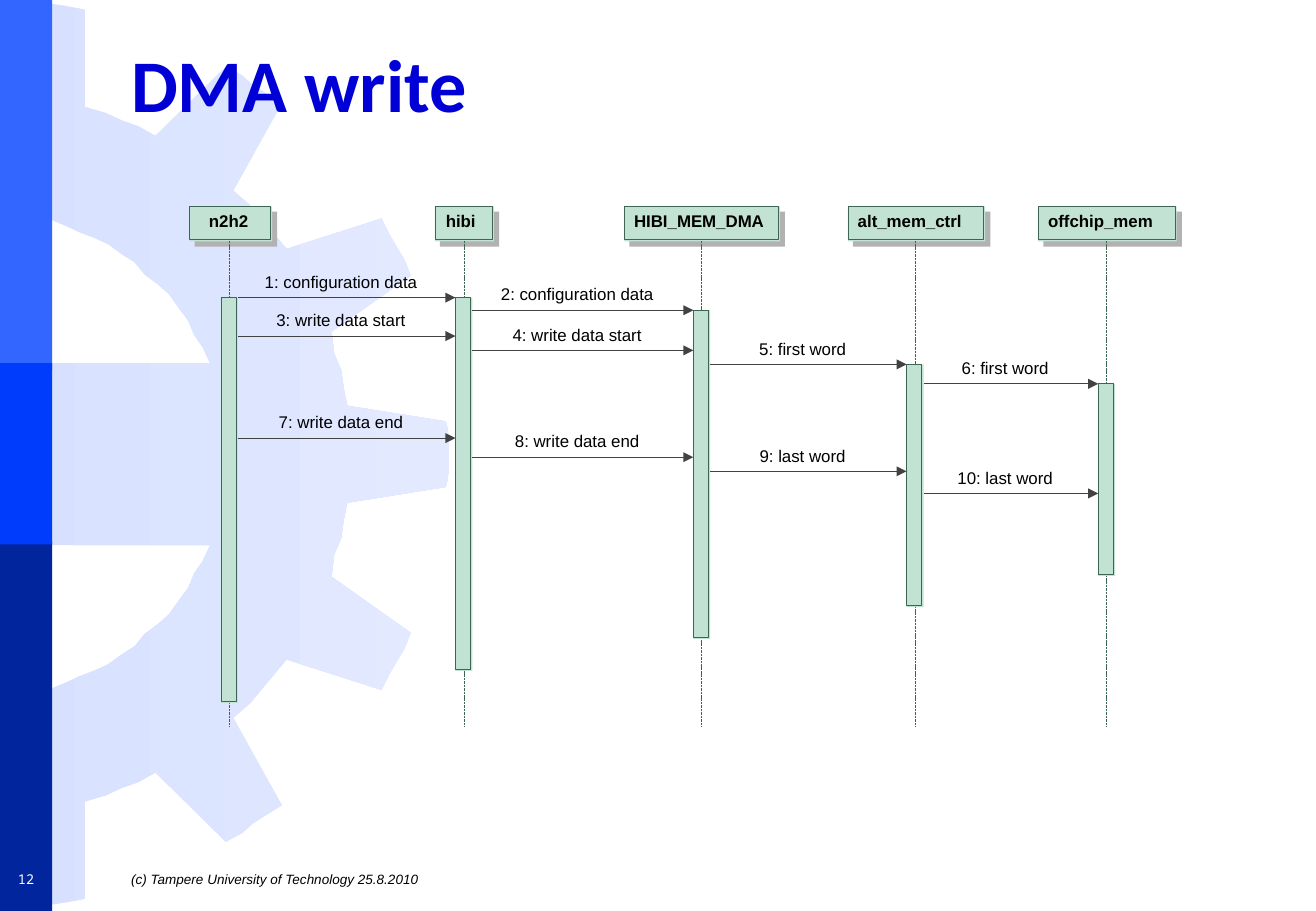
from lxml.etree import SubElement
from pptx import Presentation
from pptx.dml.color import RGBColor
from pptx.enum.dml import MSO_LINE
from pptx.enum.shapes import MSO_CONNECTOR, MSO_SHAPE
from pptx.enum.text import MSO_ANCHOR as ANCHOR, PP_ALIGN as ALIGN
from pptx.oxml.ns import qn
from pptx.util import Pt

PALE, EDGE, SHADE, INK = "C2E3D3", "3D6652", "B2B2B2", "424242"
HEAD_TOP, HEAD_HEIGHT, LIFE_TOP, LIFE_END = 122.4, 20.8, 142.6, 430.6
BAR_WIDTH = 10.1

# name, head left, head width, name indent, line x, bar top, bar height
LANES = [
    ("n2h2", 112.3, 49, 11.5, 136, 176.4, 240.5),
    ("hibi", 257.8, 35, 6.4, 275, 176.4, 221.3),
    ("HIBI_MEM_DMA", 370, 92.2, 5.8, 416, 183.8, 195),
    ("alt_mem_ctrl", 502.6, 81.4, 5.8, 542.4, 216, 144),
    ("offchip_mem", 615.4, 82.1, 5.8, 656, 227.5, 113.8),
]
# text, sending lane, height on the page
MESSAGES = [
    ("configuration data", 0, 176.4), ("configuration data", 1, 183.9),
    ("write data start", 0, 199.2), ("write data start", 1, 207.7),
    ("first word", 2, 216), ("first word", 3, 227.5),
    ("write data end", 0, 259.7), ("write data end", 1, 271),
    ("last word", 2, 279.4), ("last word", 3, 292.5),
]
GEAR_HEIGHT = 538.5
GEAR_UPPER_HALF = [
    (266.4, 268.6), (266.4, 258.5), (264.2, 249.8), (205.9, 240.5), (203.8, 230.4),
    (202.3, 219.6), (198, 209.5), (196.6, 196.6), (243.4, 163.4), (239.8, 154.1),
    (235.4, 146.9), (230.4, 138.2), (226.1, 129.6), (169.9, 147.6), (162, 138.2),
    (154.8, 129.6), (148.3, 121.7), (138.2, 113), (167, 61.2), (157.7, 55.4),
    (149.8, 50.4), (143.3, 44.6), (133.9, 39.6), (92.2, 80.6), (82.1, 74.9),
    (72, 71.3), (62.6, 67), (50.4, 63.4), (50.4, 5.8), (39.6, 3.6),
    (30.2, 2.2), (20.9, 0.7), (10.1, 0), (10.1, 126.7), (20.2, 129.6),
    (30.2, 130.3), (38.9, 133.9), (46.8, 137.5), (56.2, 141.1), (64.1, 144.7),
    (72, 150.5), (79.9, 155.5), (85.7, 162.7), (93.6, 168.5), (100.1, 174.2),
    (105.8, 182.2), (111.6, 190.1), (115.2, 198.7), (120.2, 205.9), (124.6, 215.3),
    (0, 215.3),
]


def color(value):
    return RGBColor.from_string(value)


def write(shape, text, size=10, font="Arial", ink="000000", bold=False, italic=False,
          align=ALIGN.LEFT, anchor=ANCHOR.TOP, insets=(0, 0), wrap=False):
    frame = shape.text_frame
    frame.word_wrap = wrap
    frame.vertical_anchor = anchor
    frame.margin_left = frame.margin_right = Pt(insets[0])
    frame.margin_top = frame.margin_bottom = Pt(insets[1])
    para = frame.paragraphs[0]
    para.alignment = align
    span = para.add_run()
    span.text = text
    span.font.size = Pt(size)
    span.font.name = font
    span.font.bold = bold
    span.font.italic = italic
    span.font.color.rgb = color(ink)


def add_text(page, text, left, top, width, height, **form):
    box = page.shapes.add_textbox(Pt(left), Pt(top), Pt(width), Pt(height))
    write(box, text, **form)


def add_box(page, left, top, width, height, fill=None, line=None):
    box = page.shapes.add_shape(MSO_SHAPE.RECTANGLE, Pt(left), Pt(top), Pt(width), Pt(height))
    box.shadow.inherit = False
    if fill:
        box.fill.solid()
        box.fill.fore_color.rgb = color(fill)
    else:
        box.fill.background()
    if line:
        box.line.color.rgb = color(line)
        box.line.width = Pt(0.5)
    else:
        box.line.fill.background()
    return box


def add_panel(page, left, top, width, height):
    add_box(page, left, top, width, height, fill=PALE)
    return add_box(page, left, top, width - 1, height - 1, line=EDGE)


def add_line(page, start, end, ink, dash=None, arrow=False):
    line = page.shapes.add_connector(MSO_CONNECTOR.STRAIGHT, *map(Pt, start + end))
    line.line.color.rgb = color(ink)
    line.line.width = Pt(0.5)
    if dash:
        line.line.dash_style = dash
    if arrow:
        SubElement(line.line._get_or_add_ln(), qn("a:tailEnd"), type="triangle", w="med", len="med")
    SubElement(line._element.spPr, qn("a:effectLst"))


def add_gear(page):
    lower = [(x, GEAR_HEIGHT - y) for x, y in reversed(GEAR_UPPER_HALF)]
    first, *rest = [(Pt(x), Pt(y)) for x, y in GEAR_UPPER_HALF + lower]
    builder = page.shapes.build_freeform(*first)
    builder.add_line_segments(rest, close=True)
    gear = builder.convert_to_shape()
    gear.shadow.inherit = False
    gear.line.fill.background()
    gear.fill.gradient()
    gear.fill.gradient_angle = 0
    for stop, value in zip(gear.fill.gradient_stops, ("D7E1FF", "E3EAFF")):
        stop.color.rgb = color(value)


def add_lane(page, name, left, width, indent, x, bar_top, bar_height):
    add_box(page, left + 3, HEAD_TOP + 3, width, HEAD_HEIGHT, fill=SHADE)
    head = add_panel(page, left, HEAD_TOP, width, HEAD_HEIGHT)
    write(head, name, bold=True, insets=(indent, 2.2))
    add_line(page, (x, LIFE_TOP), (x, LIFE_END), EDGE, dash=MSO_LINE.SQUARE_DOT)
    add_panel(page, x - BAR_WIDTH / 2, bar_top, BAR_WIDTH, bar_height)


def add_message(page, number, text, sender, y):
    start, end = (LANES[lane][4] for lane in (sender, sender + 1))
    add_line(page, (start + BAR_WIDTH / 2, y), (end - BAR_WIDTH / 2, y), INK, arrow=True)
    middle = (start + end) / 2 - 3.5
    add_text(page, f"{number}: {text}", middle - 55, y - 15.5, 110, 14, align=ALIGN.CENTER)


def main():
    deck = Presentation()
    deck.slide_width, deck.slide_height = Pt(780), Pt(540)
    page = deck.slides.add_slide(deck.slide_layouts[6])

    add_gear(page)
    for top, height, fill in ((0, 219.6, "3366FF"), (321, 219, "00259C"), (215.3, 107.5, "003CFC")):
        add_box(page, 0, top, 31, height, fill=fill)

    inner = dict(anchor=ANCHOR.MIDDLE, insets=(7.2, 3.6))
    add_text(page, "DMA write", 70.6, 15, 676, 67.7, size=44, font="Calibri",
             ink="0000D6", bold=True, wrap=True, **inner)
    add_text(page, "(c) Tampere University of Technology 25.8.2010", 70.6, 512, 676, 18.7,
             size=8, italic=True, wrap=True, **inner)
    add_text(page, "12", 0, 512, 31, 18.7, size=8, font="Noto Sans Mono",
             ink="FFFFFF", align=ALIGN.CENTER, **inner)

    for lane in LANES:
        add_lane(page, *lane)
    for number, message in enumerate(MESSAGES, start=1):
        add_message(page, number, *message)

    deck.save("out.pptx")


main()
